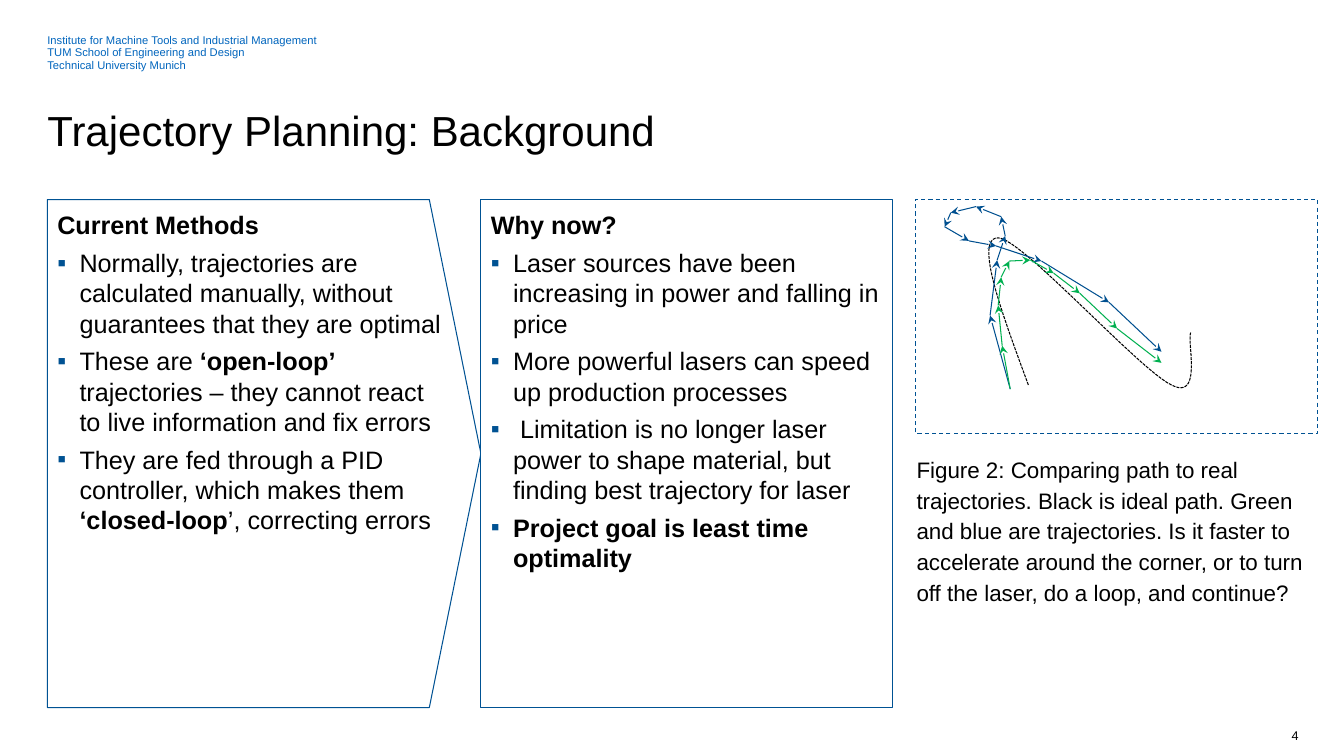
from itertools import pairwise

from lxml import etree
from pptx import Presentation
from pptx.dml.color import RGBColor
from pptx.enum.dml import MSO_LINE
from pptx.enum.shapes import MSO_CONNECTOR, MSO_SHAPE
from pptx.enum.text import MSO_ANCHOR, PP_ALIGN
from pptx.oxml.ns import qn
from pptx.util import Inches, Pt

STRAIGHT = MSO_CONNECTOR.STRAIGHT
RECTANGLE = MSO_SHAPE.RECTANGLE
PENTAGON = MSO_SHAPE.PENTAGON
DASH = MSO_LINE.DASH
SQUARE_DOT = MSO_LINE.SQUARE_DOT
TOP = MSO_ANCHOR.TOP
MIDDLE = MSO_ANCHOR.MIDDLE
LEFT = PP_ALIGN.LEFT
RIGHT = PP_ALIGN.RIGHT

FONT = "Arial"
COLORS = {
    "black": "000000",
    "white": "FFFFFF",
    "header": "0065BD",
    "frame": "005293",
    "loop": "005090",
    "corner": "00B050",
}

PANEL_TOP, PANEL_WIDTH, PANEL_HEIGHT = 1.98, 4.08, 5.04
METHODS_LEFT, REASONS_LEFT, FIGURE_LEFT = 0.47, 4.77, 9.08
FIGURE_WIDTH = 3.99

HEADER = [
    "Institute for Machine Tools and Industrial Management",
    "TUM School of Engineering and Design",
    "Technical University Munich",
]
METHODS = [
    [("Normally, trajectories are calculated manually, without guarantees "
      "that they are optimal", False)],
    [("These are ", False), ("‘open-loop’ ", True),
     ("trajectories – they cannot react to live information and fix errors", False)],
    [("They are fed through a PID controller, which makes them ", False),
     ("‘closed-loop", True), ("’, correcting errors", False)],
]
REASONS = [
    [("Laser sources have been increasing in power and falling in price", False)],
    [("More powerful lasers can speed up production processes", False)],
    [(" Limitation is no longer laser power to shape material, but finding "
      "best trajectory for laser", False)],
    [("Project goal is least time optimality", True)],
]
CAPTION = (
    "Figure 2: Comparing path to real trajectories. Black is ideal path. "
    "Green and blue are trajectories. Is it faster to accelerate around the "
    "corner, or to turn off the laser, do a loop, and continue?"
)

IDEAL_PATH = [
    (10.2, 3.82), (9.93, 3.09), (9.66, 2.36), (9.9, 2.36), (10.13, 2.36),
    (11.3, 3.67), (11.62, 3.82), (11.93, 3.98), (11.77, 3.38), (11.81, 3.3),
]
LOOP_PATH = [
    (10.02, 3.86), (9.82, 3.13), (9.89, 2.58), (9.97, 2.34), (9.93, 2.15),
    (9.68, 2.05), (9.43, 2.11), (9.37, 2.25), (9.61, 2.39), (9.88, 2.44),
    (10.33, 2.59), (11, 3), (11.52, 3.49),
]
CORNER_PATH = [
    (10.02, 3.86), (9.94, 3.43), (9.9, 3.03), (9.93, 2.75), (10.01, 2.59),
    (10.22, 2.58), (10.45, 2.71), (10.71, 2.91), (11.08, 3.26), (11.52, 3.6),
]


def rgb(name):
    return RGBColor.from_string(COLORS[name])


def style_font(font, size, color, bold=False):
    font.name = FONT
    font.size = Pt(size)
    font.bold = bold
    font.color.rgb = rgb(color)


def style_line(line, color, dash=None):
    line.color.rgb = rgb(color)
    line.width = Pt(0.75)
    if dash:
        line.dash_style = dash


def style_frame(frame, inset, anchor=TOP):
    frame.word_wrap = True
    frame.vertical_anchor = anchor
    frame.margin_left = frame.margin_right = Inches(inset)
    frame.margin_top = frame.margin_bottom = Inches(inset)


def add_text(page, place, text, size, color, spacing, align=LEFT, anchor=TOP):
    box = page.shapes.add_textbox(*map(Inches, place))
    frame = box.text_frame
    style_frame(frame, 0, anchor)
    frame.text = text
    for para in frame.paragraphs:
        para.line_spacing = spacing
        para.alignment = align
        for span in para.runs:
            style_font(span.font, size, color)


def add_panel(shapes, kind, place, fill=None, dash=None):
    panel = shapes.add_shape(kind, *map(Inches, place))
    panel.shadow.inherit = False
    if fill:
        panel.fill.solid()
        panel.fill.fore_color.rgb = rgb(fill)
    else:
        panel.fill.background()
    style_line(panel.line, "frame", dash)
    return panel


def add_bullet(para):
    properties = para._p.get_or_add_pPr()
    properties.set("marL", str(Inches(0.22)))
    properties.set("indent", str(Inches(-0.22)))
    color = etree.SubElement(properties, qn("a:buClr"))
    etree.SubElement(color, qn("a:srgbClr")).set("val", COLORS["frame"])
    etree.SubElement(properties, qn("a:buFont")).set("typeface", FONT)
    etree.SubElement(properties, qn("a:buChar")).set("char", "▪")


def write_list(frame, heading, items):
    style_frame(frame, 0.1)
    for index, parts in enumerate([[(heading, True)], *items]):
        para = frame.add_paragraph() if index else frame.paragraphs[0]
        para.alignment = LEFT
        para.space_before = Pt(5.4)
        if index:
            add_bullet(para)
        for text, bold in parts:
            span = para.add_run()
            span.text = text
            style_font(span.font, 18, "black", bold)


def curve_points(controls, steps=24):
    points = [controls[0]]
    for start in range(0, len(controls) - 1, 3):
        a, b, c, d = controls[start:start + 4]
        for step in range(1, steps + 1):
            t = step / steps
            u = 1 - t
            weights = (u ** 3, 3 * u * u * t, 3 * u * t * t, t ** 3)
            points.append(tuple(
                sum(w * v for w, v in zip(weights, values))
                for values in zip(a, b, c, d)
            ))
    return [(Inches(x), Inches(y)) for x, y in points]


def add_curve(shapes, controls):
    first, *rest = curve_points(controls)
    builder = shapes.build_freeform(*first)
    builder.add_line_segments(rest, close=False)
    curve = builder.convert_to_shape()
    curve.shadow.inherit = False
    curve.fill.background()
    style_line(curve.line, "black", SQUARE_DOT)


def add_arrows(shapes, points, color):
    for start, end in pairwise(points):
        arrow = shapes.add_connector(STRAIGHT, *map(Inches, start + end))
        style_line(arrow.line, color)
        etree.SubElement(arrow.line._get_or_add_ln(), qn("a:tailEnd")).set("type", "stealth")
        etree.SubElement(arrow._element.spPr, qn("a:effectLst"))


def add_figure(page):
    shapes = page.shapes.add_group_shape().shapes
    add_panel(shapes, RECTANGLE, (FIGURE_LEFT, PANEL_TOP, FIGURE_WIDTH, 2.32), dash=DASH)
    add_curve(shapes, IDEAL_PATH)
    add_arrows(shapes, LOOP_PATH, "loop")
    add_arrows(shapes, CORNER_PATH, "corner")


def main():
    deck = Presentation()
    deck.slide_width, deck.slide_height = Inches(13.33), Inches(7.5)
    page = deck.slides.add_slide(deck.slide_layouts[6])
    add_text(page, (0.47, 0.34, 11.23, 0.38), "\n".join(HEADER), 8, "header", 0.94)
    add_text(page, (0.47, 1.09, 12.41, 0.45), "Trajectory Planning: Background",
             30, "black", Pt(32))
    add_text(page, (12.37, 7.2, 0.51, 0.17), "4", 9, "black", 1.1, RIGHT, MIDDLE)

    methods_place = (METHODS_LEFT, PANEL_TOP, PANEL_WIDTH, PANEL_HEIGHT)
    arrow_place = (METHODS_LEFT, PANEL_TOP, REASONS_LEFT - METHODS_LEFT, PANEL_HEIGHT)
    reasons_place = (REASONS_LEFT, PANEL_TOP, PANEL_WIDTH, PANEL_HEIGHT)
    add_panel(page.shapes, PENTAGON, arrow_place, "white").adjustments[0] = 0.119
    methods = page.shapes.add_textbox(*map(Inches, methods_place))
    write_list(methods.text_frame, "Current Methods", METHODS)
    reasons = add_panel(page.shapes, RECTANGLE, reasons_place, "white")
    write_list(reasons.text_frame, "Why now?", REASONS)

    add_figure(page)
    add_text(page, (9.09, 4.49, FIGURE_WIDTH, 1.51), CAPTION, 16, "black", 1.14)
    deck.save("out.pptx")


if __name__ == "__main__":
    main()
